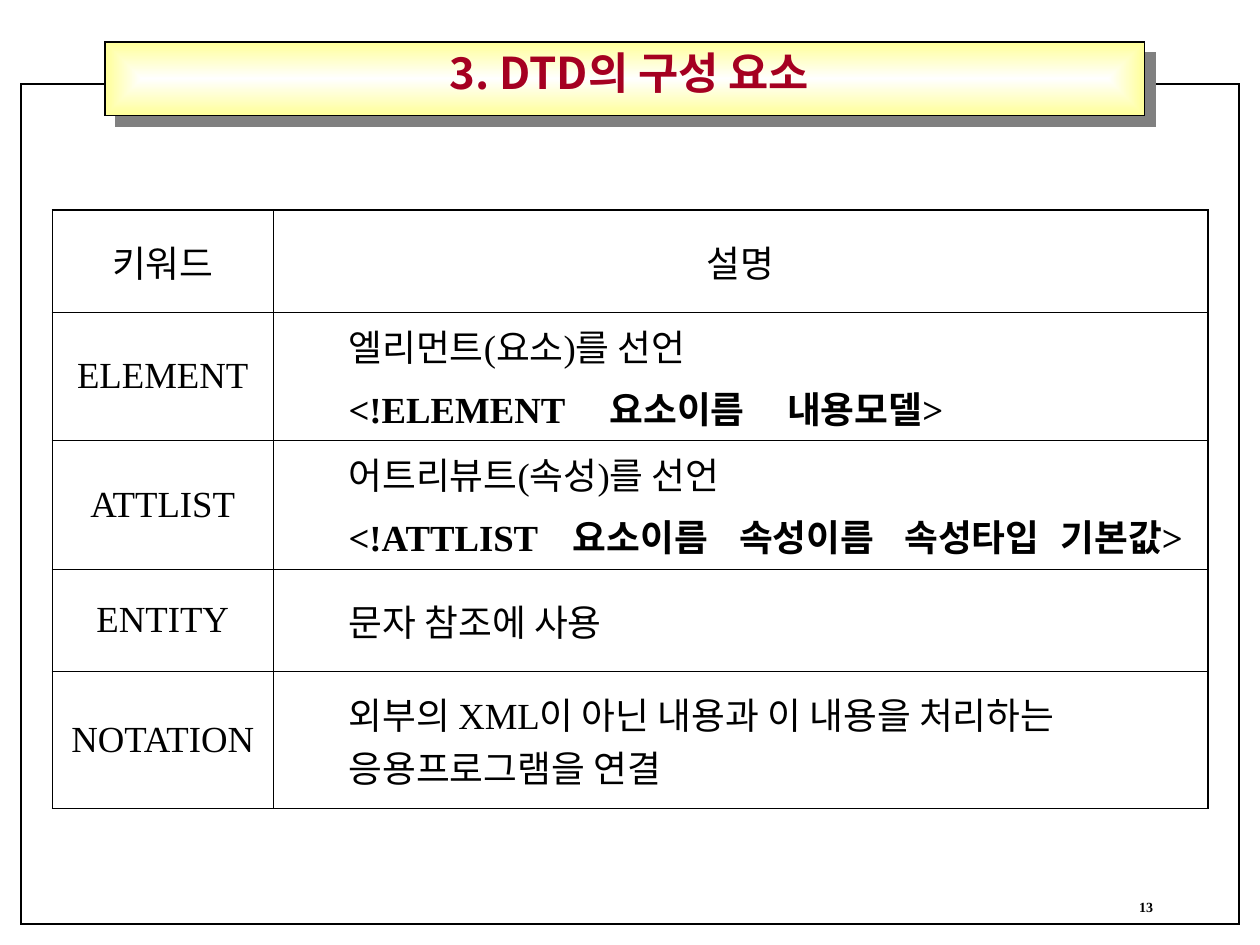
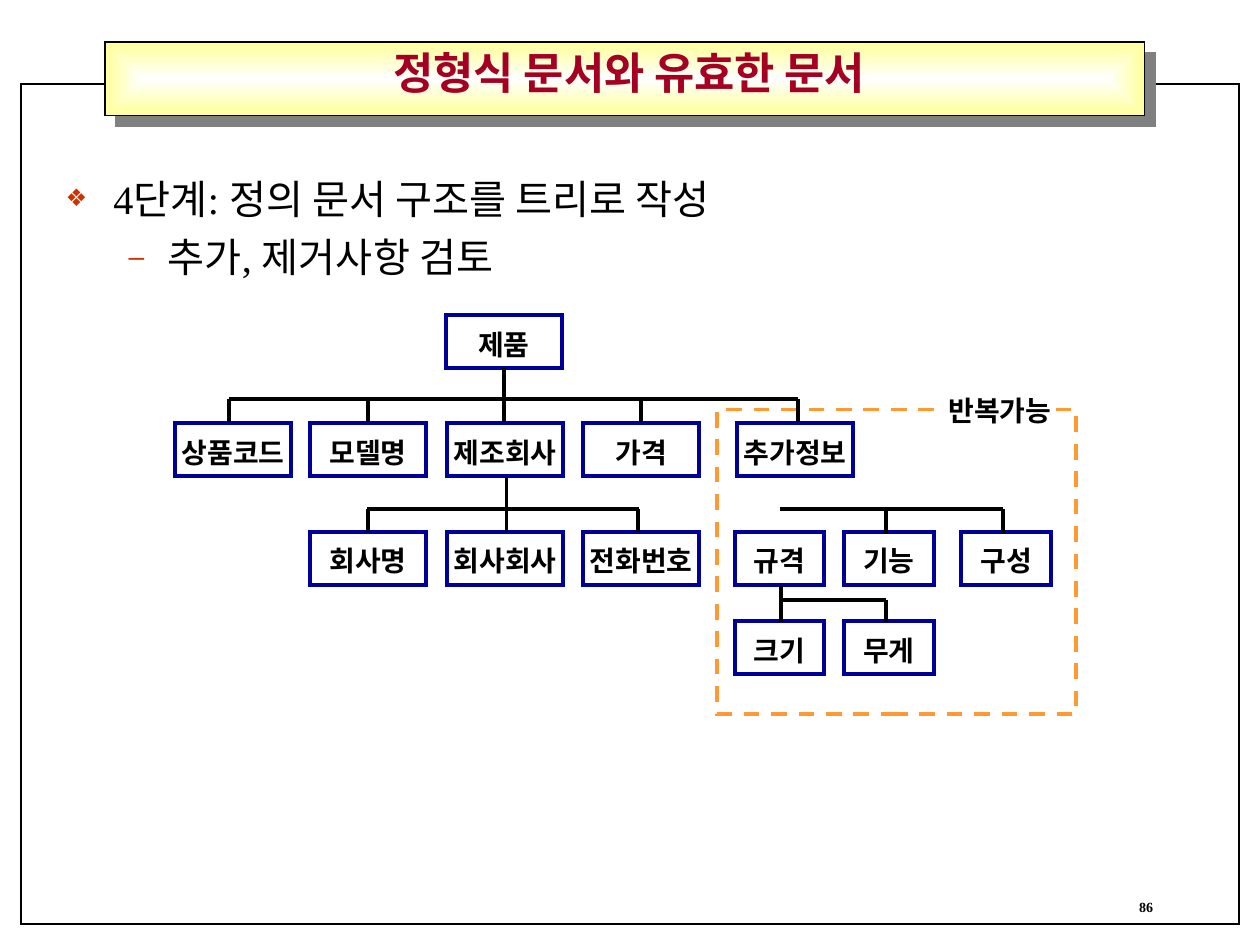
from dataclasses import dataclass
from typing import Optional

from lxml.etree import SubElement
from pptx import Presentation
from pptx.dml.color import RGBColor
from pptx.enum.dml import MSO_LINE
from pptx.enum.shapes import MSO_CONNECTOR, MSO_SHAPE
from pptx.enum.text import MSO_ANCHOR, MSO_AUTO_SIZE, PP_ALIGN
from pptx.oxml.ns import qn
from pptx.util import Inches, Pt

# Shared look
BLACK, WHITE, GRAY = "000000", "FFFFFF", "808080"
YELLOW, CRIMSON, RED = "FFFF99", "A50021", "CC3300"
NAVY, ORANGE = "000099", "FF9933"
SERIF, GOTHIC = "Times New Roman", "Noto Sans CJK KR"
TITLE_ONLY, TITLE_AND_BODY = 5, 1


@dataclass
class KeywordRow:
    keyword: str
    description: str
    height: float
    syntax: str = ""
    stops: tuple[float, ...] = ()


@dataclass
class Bullet:
    text: str
    level: int
    symbol: str
    percent: int
    indent: float
    hanging: float


@dataclass
class NodeRow:
    top: float
    width: float
    lefts: tuple[float, ...]
    labels: tuple[str, ...]


@dataclass
class Branch:
    left: float
    right: float
    y: float
    bottom: float
    drops: tuple[float, ...]
    stem: Optional[tuple[float, float]] = None  # x and top


KEYWORDS = [
    KeywordRow("키워드", "설명", 0.81),
    KeywordRow("ELEMENT", "엘리먼트(요소)를 선언", 1.02,
               "<!ELEMENT\t요소이름\t내용모델>", (2.07, 3.48)),
    KeywordRow("ATTLIST", "어트리뷰트(속성)를 선언", 1.02,
               "<!ATTLIST\t요소이름\t속성이름\t속성타입\t기본값>",
               (1.78, 3.1, 4.41, 5.65)),
    KeywordRow("ENTITY", "문자 참조에 사용", 0.81),
    KeywordRow("NOTATION", "외부의 XML이 아닌 내용과 이 내용을 처리하는 응용프로그램을 연결", 1.09),
]

BULLETS = [
    Bullet("4단계: 정의 문서 구조를 트리로 작성", 0, "❖", 60, 0.38, 0.38),
    Bullet("추가, 제거사항 검토", 1, "–", 70, 0.81, 0.31),
]

NODE_ROWS = [
    NodeRow(2.5, 0.92, (3.54,), ("제품",)),
    NodeRow(3.36, 0.92, (1.39, 2.46, 3.55, 4.63, 5.85),
            ("상품코드", "모델명", "제조회사", "가격", "추가정보")),
    NodeRow(4.22, 0.92, (2.46, 3.55, 4.63), ("회사명", "회사회사", "전화번호")),
    NodeRow(4.22, 0.71, (5.83, 6.7, 7.63), ("규격", "기능", "구성")),
    NodeRow(4.93, 0.71, (5.83, 6.7), ("크기", "무게")),
]

BRANCHES = [
    Branch(1.82, 6.33, 3.17, 3.35, (1.82, 2.92, 5.09, 6.33), (4, 2.92)),
    Branch(2.91, 5.07, 4.04, 4.22, (2.92, 5.06), (4.02, 3.79)),
    Branch(6.19, 7.96, 4.04, 4.24, (7.03, 7.96)),
    Branch(6.19, 7.03, 4.76, 4.94, (7.03,), (6.2, 4.65)),
]


def rgb(value: str) -> RGBColor:
    return RGBColor.from_string(value)


def place(shape, left: float, top: float, width: float, height: float) -> None:
    shape.left, shape.top = Inches(left), Inches(top)
    shape.width, shape.height = Inches(width), Inches(height)


def style(paragraph, size: float, face: str = SERIF, color: str = BLACK,
          bold: bool = False, align=PP_ALIGN.LEFT, before: float = 0) -> None:
    paragraph.alignment = align
    paragraph.space_before = Pt(before)
    for font in (paragraph.font, *(run.font for run in paragraph.runs)):
        font.name, font.size, font.bold = face, Pt(size), bold
        font.color.rgb = rgb(color)
        SubElement(font._rPr, qn("a:ea"), typeface=GOTHIC)


def add_rect(slide, left: float, top: float, width: float, height: float,
             line: Optional[str] = BLACK, weight: float = 0.75):
    rect = slide.shapes.add_shape(MSO_SHAPE.RECTANGLE, Inches(left), Inches(top),
                                  Inches(width), Inches(height))
    rect.shadow.inherit = False
    rect.fill.solid()
    rect.fill.fore_color.rgb = rgb(WHITE)
    if line:
        rect.line.color.rgb = rgb(line)
        rect.line.width = Pt(weight)
        SubElement(rect._element.spPr.find(qn("a:ln")), qn("a:miter"), lim="800000")
    else:
        rect.line.fill.background()
    return rect


def add_line(slide, x1: float, y1: float, x2: float, y2: float) -> None:
    line = slide.shapes.add_connector(MSO_CONNECTOR.STRAIGHT, Inches(x1), Inches(y1),
                                      Inches(x2), Inches(y2))
    line.line.color.rgb = rgb(BLACK)
    line.line.width = Pt(2.25)
    SubElement(line._element.spPr, qn("a:effectLst"))


def add_label(rect, text: str, top_inset: float = 0) -> None:
    frame = rect.text_frame
    frame.margin_left = frame.margin_right = frame.margin_bottom = 0
    frame.margin_top = Inches(top_inset)
    frame.vertical_anchor = MSO_ANCHOR.MIDDLE
    frame.word_wrap = False
    frame.text = text
    style(frame.paragraphs[0], 16, GOTHIC, bold=True, align=PP_ALIGN.CENTER)


def build_master(prs, slide) -> None:
    """Draw the page frame and the title band once, on the slide master."""
    page_frame = add_rect(slide, 1 / 6, 2 / 3, 29 / 3, 20 / 3, weight=1)
    band = add_rect(slide, 5 / 6, 1 / 3, 8.25, 7 / 12)

    # Gradient from a white centre to yellow edges
    band.fill.gradient()
    for stop, color in zip(band.fill.gradient_stops, (WHITE, YELLOW)):
        stop.color.rgb = rgb(color)
    gradient = band._element.spPr.find(qn("a:gradFill"))
    gradient.remove(gradient.find(qn("a:lin")))
    path = SubElement(gradient, qn("a:path"), attrib={"path": "rect"})
    SubElement(path, qn("a:fillToRect"), l="50000", t="50000", r="50000", b="50000")

    # Hard offset shadow
    effects = band._element.spPr.find(qn("a:effectLst"))
    shadow = SubElement(effects, qn("a:outerShdw"), blurRad="0", dist=str(Pt(8.5)),
                        dir="2700000", algn="tl", rotWithShape="0")
    SubElement(shadow, qn("a:srgbClr"), val=GRAY)

    for order, part in enumerate((page_frame, band)):
        part._element.nvSpPr.cNvPr.set("id", str(101 + order))
        prs.slide_master.shapes._spTree.insert(2 + order, part._element)


def add_page(prs, layout: int, title: str, number: int):
    slide = prs.slides.add_slide(prs.slide_layouts[layout])
    heading = slide.shapes.title
    place(heading, 0.83, 0.24, 8.33, 0.67)
    heading.text_frame.text = title
    heading.text_frame.auto_size = MSO_AUTO_SIZE.NONE
    heading.text_frame.vertical_anchor = MSO_ANCHOR.MIDDLE
    style(heading.text_frame.paragraphs[0], 25, GOTHIC, CRIMSON, True, PP_ALIGN.CENTER)

    page_number = slide.shapes.add_textbox(Inches(7.17), Inches(7.08),
                                           Inches(2.08), Inches(0.25))
    page_number.text_frame.word_wrap = True
    page_number.text_frame.text = str(number)
    style(page_number.text_frame.paragraphs[0], 8, bold=True, align=PP_ALIGN.RIGHT)
    return slide


def set_borders(cell, outer_sides: set[str]) -> None:
    for order, side in enumerate("LRTB"):
        weight = 1.08 if side in outer_sides else 0.45
        properties = cell._tc.get_or_add_tcPr()
        border = SubElement(properties, qn(f"a:ln{side}"), w=str(Pt(weight)))
        fill = SubElement(border, qn("a:solidFill"))
        SubElement(fill, qn("a:srgbClr"), val=BLACK)
        properties.insert(order, border)


def add_tab_stops(paragraph, stops: tuple[float, ...]) -> None:
    tabs = SubElement(paragraph._p.get_or_add_pPr(), qn("a:tabLst"))
    for stop in stops:
        SubElement(tabs, qn("a:tab"), pos=str(Inches(stop)), algn="l")


def add_keyword_table(slide) -> None:
    last = len(KEYWORDS) - 1
    height = sum(entry.height for entry in KEYWORDS)
    table = slide.shapes.add_table(len(KEYWORDS), 2, Inches(5 / 12), Inches(5 / 3),
                                   Inches(9.17), Inches(height)).table
    table.first_row = table.horz_banding = False
    table.columns[0].width, table.columns[1].width = Inches(1.75), Inches(7.42)
    for index, entry in enumerate(KEYWORDS):
        table.rows[index].height = Inches(entry.height)
        for column, text in enumerate((entry.keyword, entry.description)):
            cell = table.cell(index, column)
            cell.vertical_anchor = MSO_ANCHOR.MIDDLE
            cell.fill.background()
            outer = {"LR"[column]} | ({"T"} if index == 0 else set())
            set_borders(cell, outer | ({"B"} if index == last else set()))
            cell.text_frame.text = text
            centred = index == 0 or column == 0
            if not centred:
                cell.margin_left, cell.margin_right = Inches(0.6), Inches(0.05)
            style(cell.text_frame.paragraphs[0], 21, before=5.2,
                  align=PP_ALIGN.CENTER if centred else PP_ALIGN.LEFT)
        if entry.syntax:
            syntax = table.cell(index, 1).text_frame.add_paragraph()
            add_tab_stops(syntax, entry.stops)
            syntax.add_run().text = entry.syntax
            style(syntax, 21, bold=True, before=5.2)


def fill_bullets(body) -> None:
    place(body, 0.42, 1.33, 9.17, 5.5)
    frame = body.text_frame
    frame.auto_size = MSO_AUTO_SIZE.NONE
    frame.text = "\n".join(bullet.text for bullet in BULLETS)
    for paragraph, bullet in zip(frame.paragraphs, BULLETS):
        paragraph.level = bullet.level
        properties = paragraph._p.get_or_add_pPr()
        properties.set("marL", str(Inches(bullet.indent)))
        properties.set("indent", str(-Inches(bullet.hanging)))
        color = SubElement(properties, qn("a:buClr"))
        SubElement(color, qn("a:srgbClr"), val=RED)
        SubElement(properties, qn("a:buSzPct"), val=str(bullet.percent * 1000))
        SubElement(properties, qn("a:buChar"), char=bullet.symbol)
        style(paragraph, 23, before=5.8)


def add_product_tree(slide) -> None:
    # Repeatable part
    repeatable = add_rect(slide, 5.69, 3.25, 2.85, 2.42, ORANGE, 2.25)
    repeatable.line.dash_style = MSO_LINE.DASH
    add_label(add_rect(slide, 7.49, 3.1, 0.89, 0.32, None), "반복가능")

    # Nodes
    for row in NODE_ROWS:
        for left, label in zip(row.lefts, row.labels):
            node = add_rect(slide, left, row.top, row.width, 0.42, NAVY, 2.25)
            add_label(node, label, 0.04)

    # Branches
    for branch in BRANCHES:
        add_line(slide, branch.left, branch.y, branch.right, branch.y)
        for x in branch.drops:
            add_line(slide, x, branch.y, x, branch.bottom)
        if branch.stem:
            x, top = branch.stem
            add_line(slide, x, top, x, branch.bottom)


def main() -> None:
    prs = Presentation()
    prs.slide_width, prs.slide_height = Inches(10), Inches(7.5)

    # DTD keywords
    keywords = add_page(prs, TITLE_ONLY, "3. DTD의 구성 요소", 13)
    build_master(prs, keywords)
    add_keyword_table(keywords)

    # Document tree
    tree = add_page(prs, TITLE_AND_BODY, "정형식 문서와 유효한 문서", 86)
    fill_bullets(tree.placeholders[1])
    add_product_tree(tree)

    prs.save("out.pptx")


if __name__ == "__main__":
    main()
